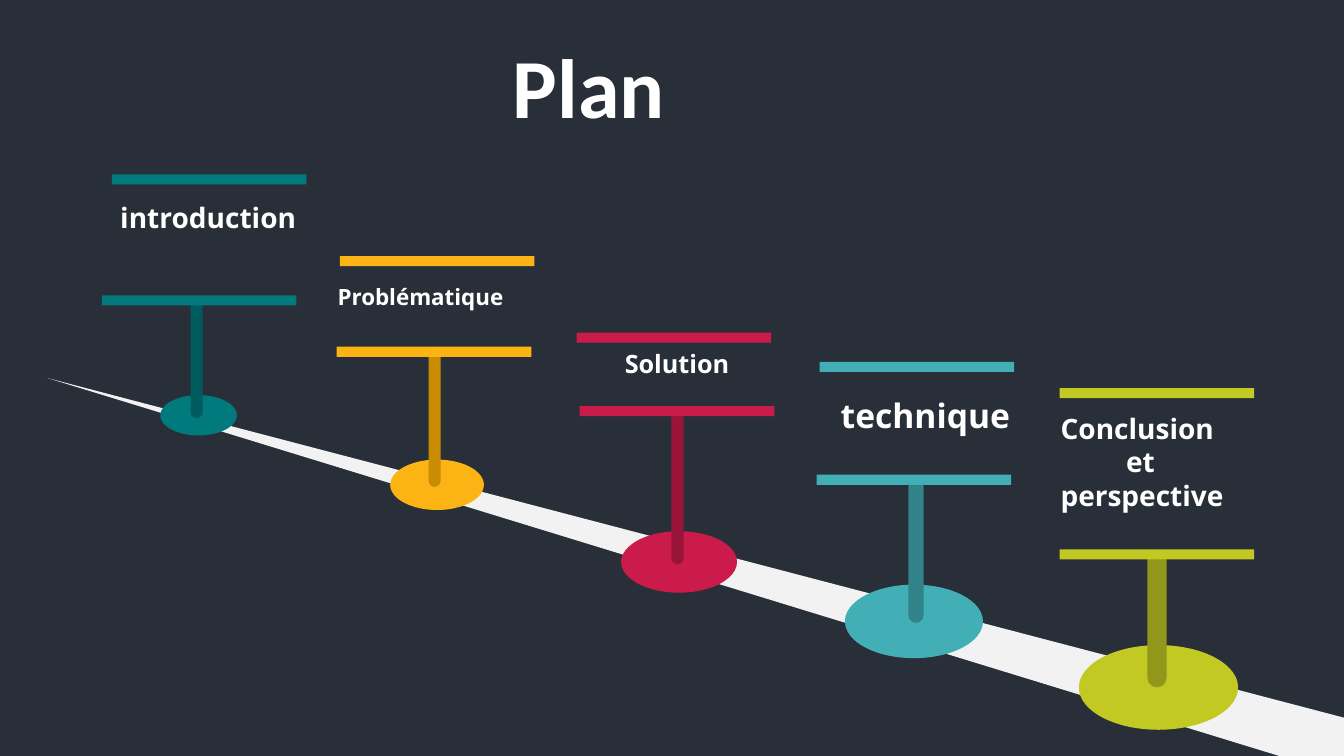
from pptx import Presentation
from pptx.dml.color import RGBColor
from pptx.enum.shapes import MSO_SHAPE
from pptx.enum.text import MSO_ANCHOR, MSO_AUTO_SIZE, PP_ALIGN
from pptx.util import Inches, Pt

THEME = {
    "back": "282F39", "road": "F2F2F2", "text": "FFFFFF",
    "teal": ("007A7D", "005B5E"), "gold": ("FCB414", "C98C03"),
    "red": ("CB1B4A", "981438"), "aqua": ("42AFB6", "318389"),
    "lime": ("C2C923", "91971A"),
    "head_font": "Calibri", "font": "Open Sans",
    "title": 60, "xl": 24, "large": 20, "mid": 18, "small": 16,
}
TITLE = ("Plan", (3.16, 0.29, 5.36, 1.11))
ROAD = [(13.33, 7.5), (12.69, 7.5), (0.47, 3.75), (13.33, 7.12)]
BAR = (1.93, 0.1)
LEFT, MID = PP_ALIGN.LEFT, PP_ALIGN.CENTER

# Lines are (text, indent); bars are the left and top of the upper and lower bar.
STOPS = [
    {"hue": "teal", "lines": [("introduction", 0)], "size": "large", "align": MID,
     "label": (1.01, 1.94, 2.11, 0.44), "bars": [(1.11, 1.73), (1.01, 2.93)],
     "post": (1.89, 2.95, 0.12, 1.2), "base": (1.59, 3.92, 0.76, 0.4)},
    {"hue": "gold", "lines": [("Problématique", 0)], "size": "small", "align": LEFT,
     "label": (3.25, 2.76, 1.99, 0.37), "bars": [(3.37, 2.54), (3.34, 3.44)],
     "post": (4.25, 3.44, 0.12, 1.39), "base": (3.87, 4.56, 0.93, 0.5)},
    {"hue": "red", "lines": [("Solution", 0)], "size": "mid", "align": MID,
     "label": (5.66, 3.41, 2.11, 0.4), "bars": [(5.72, 3.3), (5.75, 4.03)],
     "post": (6.66, 4.03, 0.12, 1.57), "base": (6.16, 5.27, 1.15, 0.61)},
    {"hue": "aqua", "lines": [("technique", 0.23)], "size": "xl", "align": LEFT,
     "label": (8.01, 3.87, 2.11, 0.5), "bars": [(8.13, 3.59), (8.1, 4.71)],
     "post": (9.01, 4.75, 0.15, 1.43), "base": (8.38, 5.8, 1.37, 0.73)},
    {"hue": "lime", "lines": [("Conclusion", 0), ("et", 0.65), ("perspective", 0)],
     "size": "large", "align": LEFT,
     "label": (10.42, 4.03, 2.11, 1.11), "bars": [(10.51, 3.85), (10.51, 5.45)],
     "post": (11.38, 5.46, 0.19, 1.36), "base": (10.7, 6.4, 1.58, 0.84)},
]


def paint(shape, color):
    shape.shadow.inherit = False
    shape.fill.solid()
    shape.fill.fore_color.rgb = RGBColor.from_string(color)
    shape.line.fill.background()


def draw(slide, kind, box, color):
    shape = slide.shapes.add_shape(kind, *map(Inches, box))
    paint(shape, color)
    return shape


def write(para, text, size, font, align):
    para.alignment = align
    run = para.add_run()
    run.text = text
    run.font.name = font
    run.font.size = Pt(THEME[size])
    run.font.bold = True
    run.font.color.rgb = RGBColor.from_string(THEME["text"])


def add_title(slide):
    text, box = TITLE
    title = slide.shapes.title
    title.left, title.top, title.width, title.height = map(Inches, box)
    frame = title.text_frame
    frame.auto_size = MSO_AUTO_SIZE.NONE
    frame.vertical_anchor = MSO_ANCHOR.TOP
    write(frame.paragraphs[0], text, "title", THEME["head_font"], MID)


def add_road(slide):
    points = [(Inches(x), Inches(y)) for x, y in ROAD]
    path = slide.shapes.build_freeform(*points[0])
    path.add_line_segments(points[1:], close=True)
    paint(path.convert_to_shape(), THEME["road"])


def add_label(slide, stop):
    frame = slide.shapes.add_textbox(*map(Inches, stop["label"])).text_frame
    frame.word_wrap = True
    for i, (text, indent) in enumerate(stop["lines"]):
        para = frame.add_paragraph() if i else frame.paragraphs[0]
        write(para, text, stop["size"], THEME["font"], stop["align"])
        if indent:
            para._p.get_or_add_pPr().set("marL", str(Inches(indent)))


def add_stop(slide, stop):
    light, dark = THEME[stop["hue"]]
    draw(slide, MSO_SHAPE.OVAL, stop["base"], light)
    post = draw(slide, MSO_SHAPE.ROUNDED_RECTANGLE, stop["post"], dark)
    post.adjustments[0] = 0.5
    for spot in stop["bars"]:
        draw(slide, MSO_SHAPE.RECTANGLE, spot + BAR, light)
    add_label(slide, stop)


def main():
    deck = Presentation()
    deck.slide_width, deck.slide_height = Inches(13.33), Inches(7.5)
    slide = deck.slides.add_slide(deck.slide_layouts[5])
    slide.background.fill.solid()
    slide.background.fill.fore_color.rgb = RGBColor.from_string(THEME["back"])
    add_title(slide)
    add_road(slide)
    for stop in STOPS:
        add_stop(slide, stop)
    deck.save("out.pptx")


if __name__ == "__main__":
    main()
